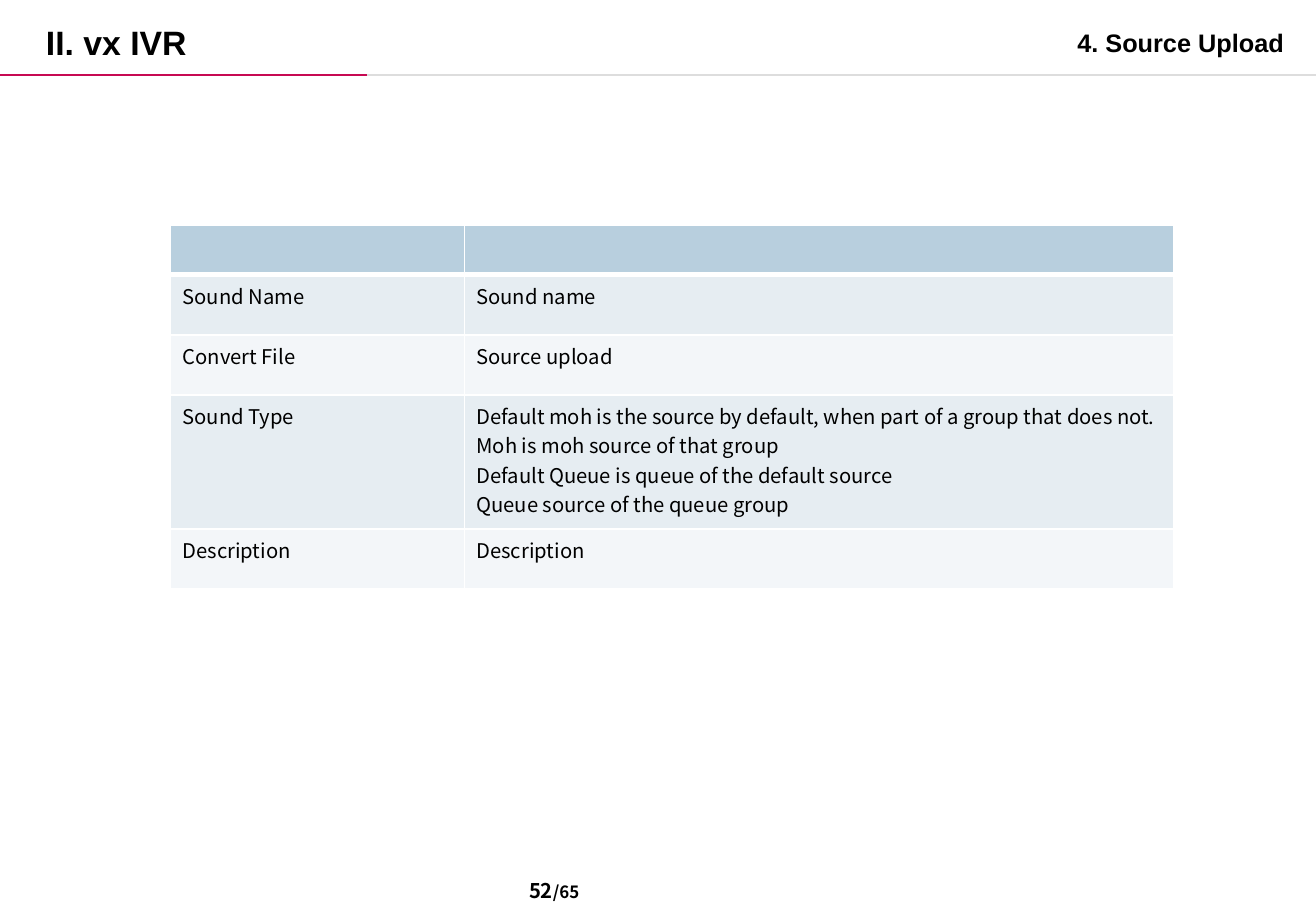
from dataclasses import dataclass

from lxml.etree import SubElement
from pptx import Presentation
from pptx.dml.color import RGBColor
from pptx.enum.shapes import MSO_CONNECTOR
from pptx.enum.text import MSO_ANCHOR, PP_ALIGN
from pptx.oxml.ns import qn
from pptx.util import Pt

HEADING_FONT = "Arial"
BODY_FONT = "Noto Sans CJK KR"
BLACK, WHITE = "000000", "FFFFFF"
HEADER_FILL = "B8CFDE"
BAND_FILLS = ("E6EDF2", "F3F6F9")
COLUMN_WIDTHS = (174.2, 420.5)
HEADER_HEIGHT = 29.5


@dataclass(frozen=True)
class Rule:
    start: float
    end: float
    color: str


@dataclass(frozen=True)
class Field:
    name: str
    lines: tuple[str, ...]
    height: float = 35.7


RULES = (Rule(0, 217.5, "C70952"), Rule(217.5, 780, "DDDDDD"))
FIELDS = (
    Field("Sound Name", ("Sound name",)),
    Field("Convert File", ("Source upload",)),
    Field("Sound Type", (
        "Default moh is the source by default, when part of a group that does not.",
        "Moh is moh source of that group",
        "Default Queue is queue of the default source",
        "Queue source of the queue group",
    ), 79.3),
    Field("Description", ("Description",)),
)


def rgb(color: str) -> RGBColor:
    return RGBColor.from_string(color)


def add_span(para, text: str, font: str, size: float, bold: bool = False) -> None:
    span = para.add_run()
    span.text = text
    span.font.name = font
    span.font.size = Pt(size)
    span.font.bold = bold
    span.font.color.rgb = rgb(BLACK)


def place(box, left: float, top: float, width: float, height: float) -> None:
    box.left, box.top, box.width, box.height = map(Pt, (left, top, width, height))


def write_heading(box, text: str, size: float) -> None:
    frame = box.text_frame
    frame.word_wrap = False
    frame.vertical_anchor = MSO_ANCHOR.TOP
    para = frame.paragraphs[0]
    para.alignment = PP_ALIGN.LEFT
    para.line_spacing = 1.2
    para.space_before = Pt(0)
    add_span(para, text, HEADING_FONT, size, bold=True)


def add_rule(page, rule: Rule) -> None:
    line = page.shapes.add_connector(
        MSO_CONNECTOR.STRAIGHT, Pt(rule.start), Pt(44.5), Pt(rule.end), Pt(44.5))
    line.line.color.rgb = rgb(rule.color)
    line.line.width = Pt(1.5)
    SubElement(line._element.spPr, qn("a:effectLst"))


def style_cell(cell, fill: str, top: float = 1, bottom: float = 1) -> None:
    """Give a cell its fill and white borders, with widths in points."""
    properties = cell._tc.get_or_add_tcPr()
    for side, width in (("L", 1), ("R", 1), ("T", top), ("B", bottom)):
        border = SubElement(properties, qn(f"a:ln{side}"), w=str(Pt(width)))
        solid = SubElement(border, qn("a:solidFill"))
        SubElement(solid, qn("a:srgbClr"), val=WHITE)
    cell.fill.solid()
    cell.fill.fore_color.rgb = rgb(fill)


def write_cell(cell, lines: tuple[str, ...]) -> None:
    frame = cell.text_frame
    for index, text in enumerate(lines):
        para = frame.add_paragraph() if index else frame.paragraphs[0]
        para.alignment = PP_ALIGN.LEFT
        add_span(para, text, BODY_FONT, 12)


def add_field_table(page) -> None:
    heights = (HEADER_HEIGHT, *(field.height for field in FIELDS))
    table = page.shapes.add_table(
        len(heights), len(COLUMN_WIDTHS), Pt(101), Pt(133.3),
        Pt(sum(COLUMN_WIDTHS)), Pt(sum(heights))).table
    for column, width in zip(table.columns, COLUMN_WIDTHS):
        column.width = Pt(width)
    for row, height in zip(table.rows, heights):
        row.height = Pt(height)
    for cell in table.rows[0].cells:
        style_cell(cell, HEADER_FILL, bottom=3)
        cell.text_frame.paragraphs[0].font.size = Pt(12)
    for index, field in enumerate(FIELDS):
        cells = table.rows[index + 1].cells
        for cell, lines in zip(cells, ((field.name,), field.lines)):
            style_cell(cell, BAND_FILLS[index % 2], top=1 if index else 3)
            write_cell(cell, lines)


def add_page_number(page) -> None:
    box = page.shapes.add_textbox(Pt(306.5), Pt(518.5), Pt(163), Pt(18))
    frame = box.text_frame
    frame.word_wrap = True
    frame.vertical_anchor = MSO_ANCHOR.MIDDLE
    para = frame.paragraphs[0]
    add_span(para, "52", BODY_FONT, 12, bold=True)
    add_span(para, "/65", BODY_FONT, 10, bold=True)


def main() -> None:
    deck = Presentation()
    deck.slide_width, deck.slide_height = Pt(780), Pt(540)
    page = deck.slides.add_slide(deck.slide_layouts[5])
    for rule in RULES:
        add_rule(page, rule)
    add_field_table(page)
    add_page_number(page)
    title = page.shapes.title
    place(title, 20, 4.5, 243, 33)
    write_heading(title, "II. vx IVR", 20)
    section = page.shapes.add_textbox(Pt(631.5), Pt(9), Pt(138), Pt(29))
    write_heading(section, "4. Source Upload", 15)
    deck.save("out.pptx")


if __name__ == "__main__":
    main()
